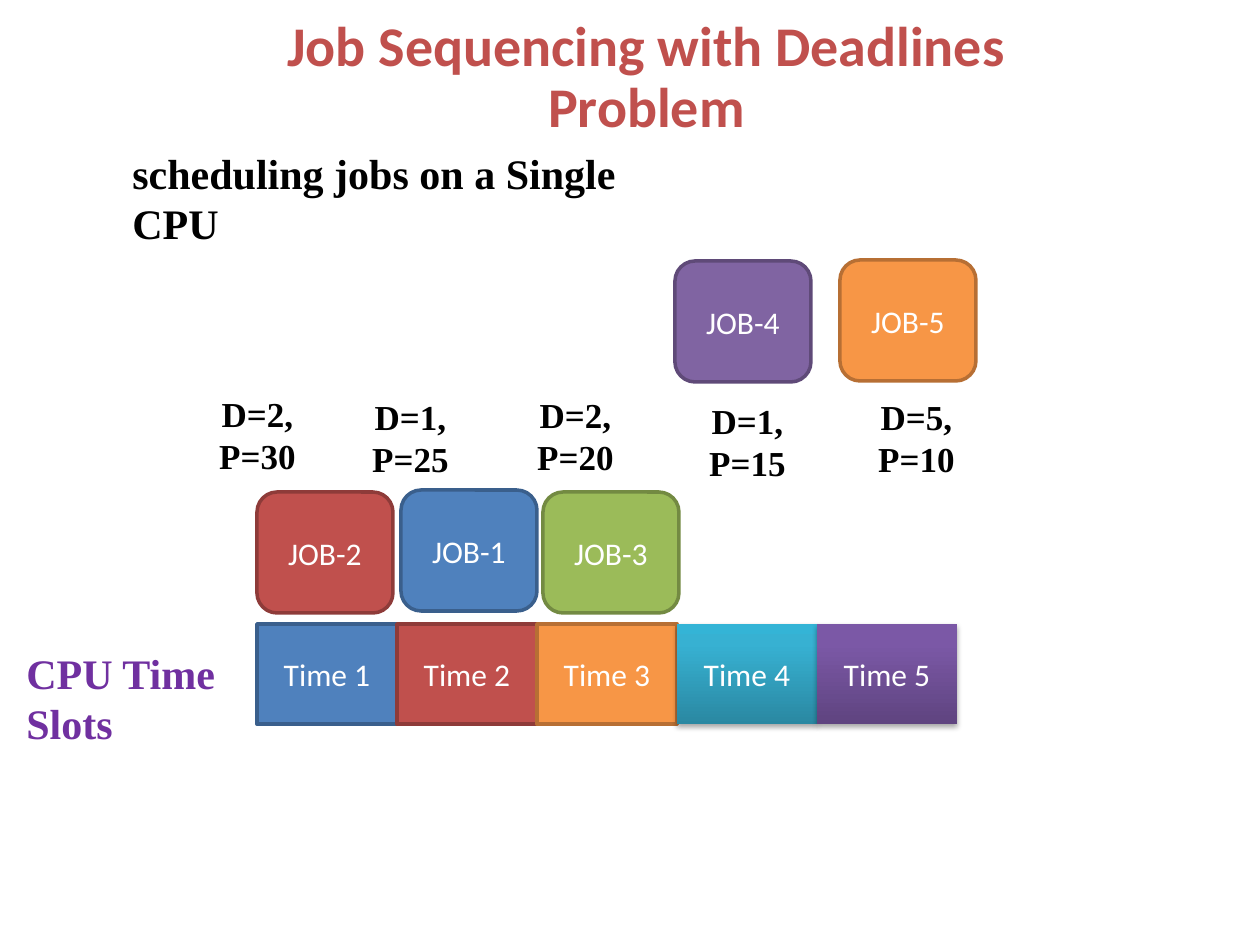
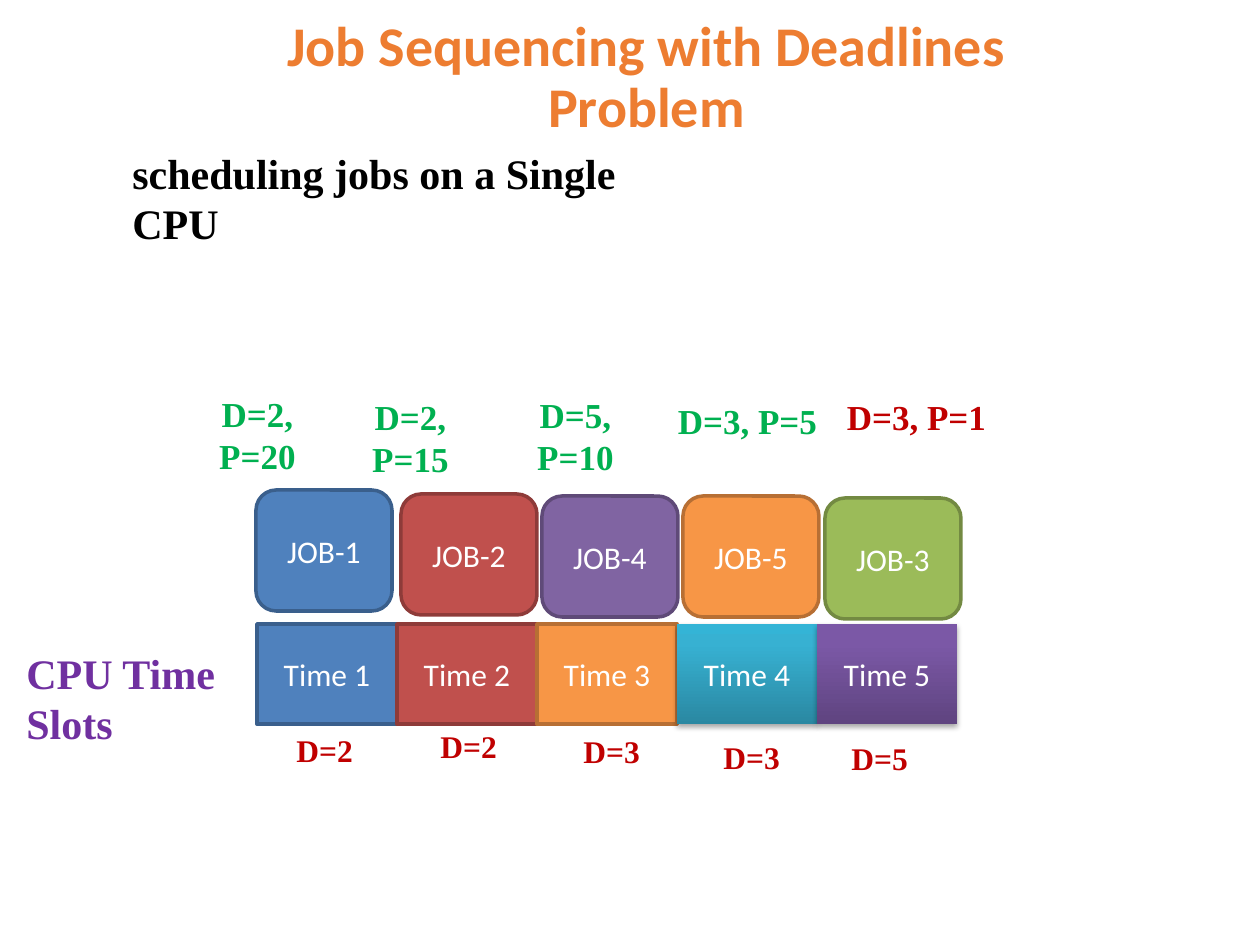
import copy

import pptx
import pptx.dml.color
import pptx.enum.shapes
import pptx.enum.text
import pptx.oxml.ns
import pptx.util
from lxml import etree

EMU_PER_PX = 914400 / 126
SERIF = "Times New Roman"
SANS = "Calibri"
BLACK, WHITE, GREEN, RED, PURPLE = "000000", "FFFFFF", "00B050", "C00000", "7030A0"

TITLE = "Job Sequencing with Deadlines Problem"
TITLE_BOX = (221, 0, 851, 158)
SUBTITLE = ("scheduling jobs on a Single CPU", (120, 141, 585, 115))
SLOTS_LABEL = ("CPU Time Slots", (14, 641, 238, 115))

BLUE_PAIR = ("4F81BD", "3A5F8C")
RED_PAIR = ("C0504D", "8E3B39")
GREEN_PAIR = ("9BBB59", "738A42")
PURPLE_PAIR = ("8064A2", "5F4A78")
ORANGE_PAIR = ("F79646", "B76F34")
JOB_COLOURS = [BLUE_PAIR, RED_PAIR, GREEN_PAIR, PURPLE_PAIR, ORANGE_PAIR]
JOB_SIZE = (136, 121)

FLAT_SLOTS = [BLUE_PAIR, RED_PAIR, ORANGE_PAIR]
GRADIENT_SLOTS = [("2A88A2", "37B1D2", "34B4D6"), ("5F4480", "7B58A6", "7C57A8")]
GRADIENT_POSITIONS = (0, 0.8, 1)
SLOT_LEFT, SLOT_TOP, SLOT_WIDTH, SLOT_HEIGHT = 257, 624, 140, 100

CAPTION_PLACES = [(175, 386), (328, 389), (493, 387), (665, 393), (834, 389)]
CAPTION_WIDTH = 165
DEADLINE_PLACES = [(284, 725), (428, 721), (571, 726), (711, 732), (839, 733)]
DEADLINE_SIZE = (95, 50)

SLIDES = [
    {
        "title_colour": "C0504D",
        "captions": [(2, 30, BLACK), (1, 25, BLACK), (2, 20, BLACK), (1, 15, BLACK), (5, 10, BLACK)],
        "jobs": [(401, 490), (257, 492), (543, 492), (675, 261), (840, 260)],
        "deadlines": [],
    },
    {
        "title_colour": "ED7D31",
        "captions": [(2, 20, GREEN), (2, 15, GREEN), (5, 10, GREEN), (3, 5, GREEN), (3, 1, RED)],
        "jobs": [(256, 490), (401, 494), (825, 498), (542, 496), (683, 496)],
        "deadlines": [2, 2, 3, 3, 5],
    },
]


def px(length):
    return pptx.util.Emu(round(length * EMU_PER_PX))


def colour(value):
    return pptx.dml.color.RGBColor.from_string(value)


def write(shape, text, size, text_colour, font_name=SERIF, bold=True, centred=False):
    frame = shape.text_frame
    frame.word_wrap = True
    paragraph = frame.paragraphs[0]
    if centred:
        paragraph.alignment = pptx.enum.text.PP_ALIGN.CENTER
    run = paragraph.add_run()
    run.text = text
    run.font.size = pptx.util.Pt(size)
    run.font.name = font_name
    run.font.bold = bold
    run.font.color.rgb = colour(text_colour)
    return paragraph


def add_title(slide, title_colour):
    title = slide.shapes.title
    title.left, title.top, title.width, title.height = map(px, TITLE_BOX)
    paragraph = write(title, TITLE, 32, title_colour, SANS, centred=True)
    paragraph.line_spacing = 0.9
    title.text_frame.auto_size = pptx.enum.text.MSO_AUTO_SIZE.NONE
    title.text_frame.vertical_anchor = pptx.enum.text.MSO_ANCHOR.MIDDLE


def add_label(slide, text, box, size, text_colour, centred=False):
    label = slide.shapes.add_textbox(*map(px, box))
    write(label, text, size, text_colour, centred=centred)
    label.text_frame.auto_size = pptx.enum.text.MSO_AUTO_SIZE.SHAPE_TO_FIT_TEXT


def add_block(shapes, kind, box, text):
    block = shapes.add_shape(kind, *map(px, box))
    block.shadow.inherit = False
    block.text_frame.vertical_anchor = pptx.enum.text.MSO_ANCHOR.MIDDLE
    write(block, text, 18, WHITE, SANS, bold=False, centred=True)
    return block


def paint_flat(block, pair):
    fill_colour, line_colour = pair
    block.fill.solid()
    block.fill.fore_color.rgb = colour(fill_colour)
    block.line.color.rgb = colour(line_colour)
    block.line.width = pptx.util.Pt(2)


def paint_gradient(block, stop_colours):
    qn = pptx.oxml.ns.qn
    block.line.fill.background()
    block.fill.gradient()
    block.fill.gradient_angle = 90
    properties = block._element.spPr
    stop_list = properties.find(".//" + qn("a:gsLst"))
    stop_list.append(copy.deepcopy(stop_list[-1]))
    for stop, position, stop_colour in zip(block.fill.gradient_stops, GRADIENT_POSITIONS, stop_colours):
        stop.position = position
        stop.color.rgb = colour(stop_colour)
    shadow = etree.SubElement(
        properties.find(qn("a:effectLst")), qn("a:outerShdw"),
        blurRad="40000", dist="23000", dir="5400000", rotWithShape="0")
    shadow_colour = etree.SubElement(shadow, qn("a:srgbClr"), val=BLACK)
    etree.SubElement(shadow_colour, qn("a:alpha"), val="35000")


def add_jobs(slide, places):
    rounded = pptx.enum.shapes.MSO_SHAPE.ROUNDED_RECTANGLE
    for number, (place, pair) in enumerate(zip(places, JOB_COLOURS), 1):
        job = add_block(slide.shapes, rounded, place + JOB_SIZE, f"JOB-{number}")
        paint_flat(job, pair)


def add_time_slots(slide):
    group = slide.shapes.add_group_shape()
    rectangle = pptx.enum.shapes.MSO_SHAPE.RECTANGLE
    for index, colours in enumerate(FLAT_SLOTS + GRADIENT_SLOTS):
        box = (SLOT_LEFT + index * SLOT_WIDTH, SLOT_TOP, SLOT_WIDTH, SLOT_HEIGHT)
        slot = add_block(group.shapes, rectangle, box, f"Time {index + 1}")
        paint = paint_flat if index < len(FLAT_SLOTS) else paint_gradient
        paint(slot, colours)


def build_slide(presentation, content):
    slide = presentation.slides.add_slide(presentation.slide_layouts[5])
    add_title(slide, content["title_colour"])
    add_label(slide, *SUBTITLE, 24, BLACK)
    for place, (deadline, profit, text_colour) in zip(CAPTION_PLACES, content["captions"]):
        height = 97 if profit >= 10 else 55
        add_label(slide, f"D={deadline}, P={profit}", place + (CAPTION_WIDTH, height),
                  20, text_colour, centred=True)
    add_jobs(slide, content["jobs"])
    add_time_slots(slide)
    add_label(slide, *SLOTS_LABEL, 24, PURPLE)
    for place, deadline in zip(DEADLINE_PLACES, content["deadlines"]):
        add_label(slide, f"D={deadline}", place + DEADLINE_SIZE, 18, RED)


def main():
    presentation = pptx.Presentation()
    presentation.slide_width = px(1260)
    presentation.slide_height = px(945)
    for content in SLIDES:
        build_slide(presentation, content)
    presentation.save("out.pptx")


if __name__ == "__main__":
    main()
